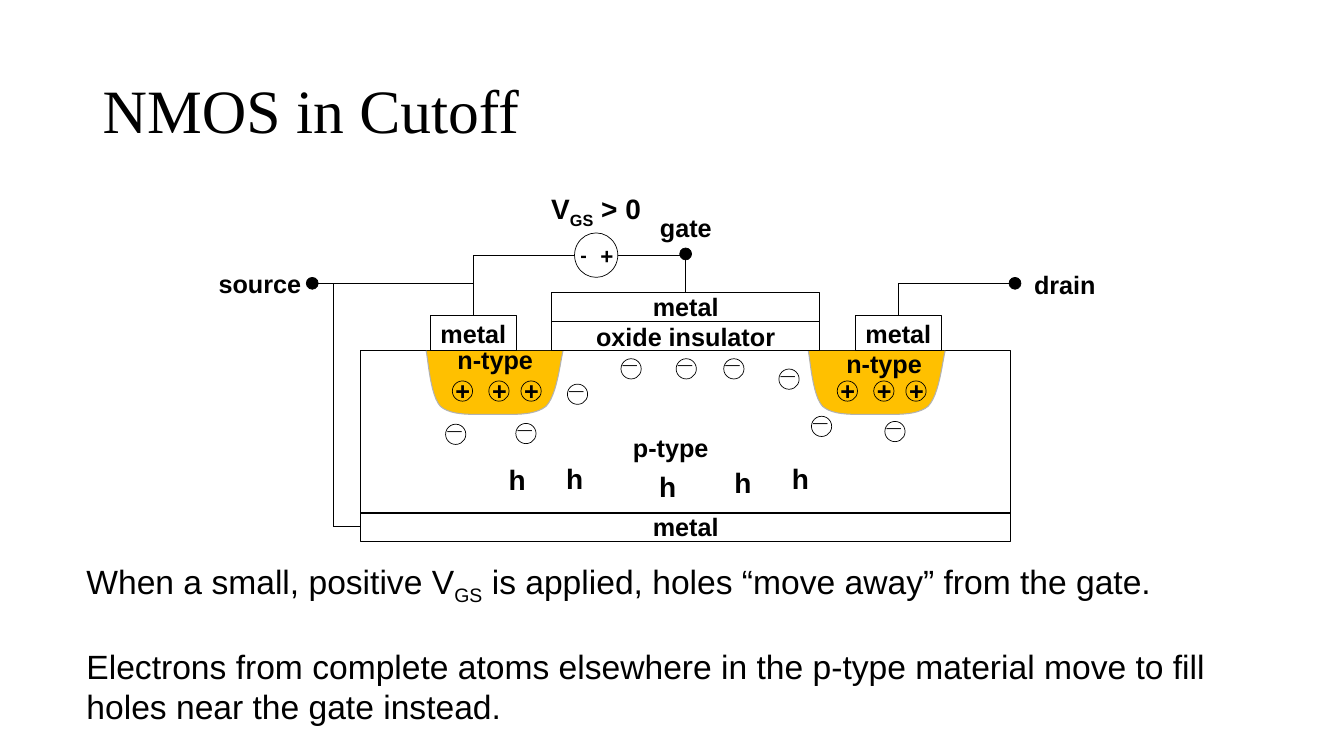
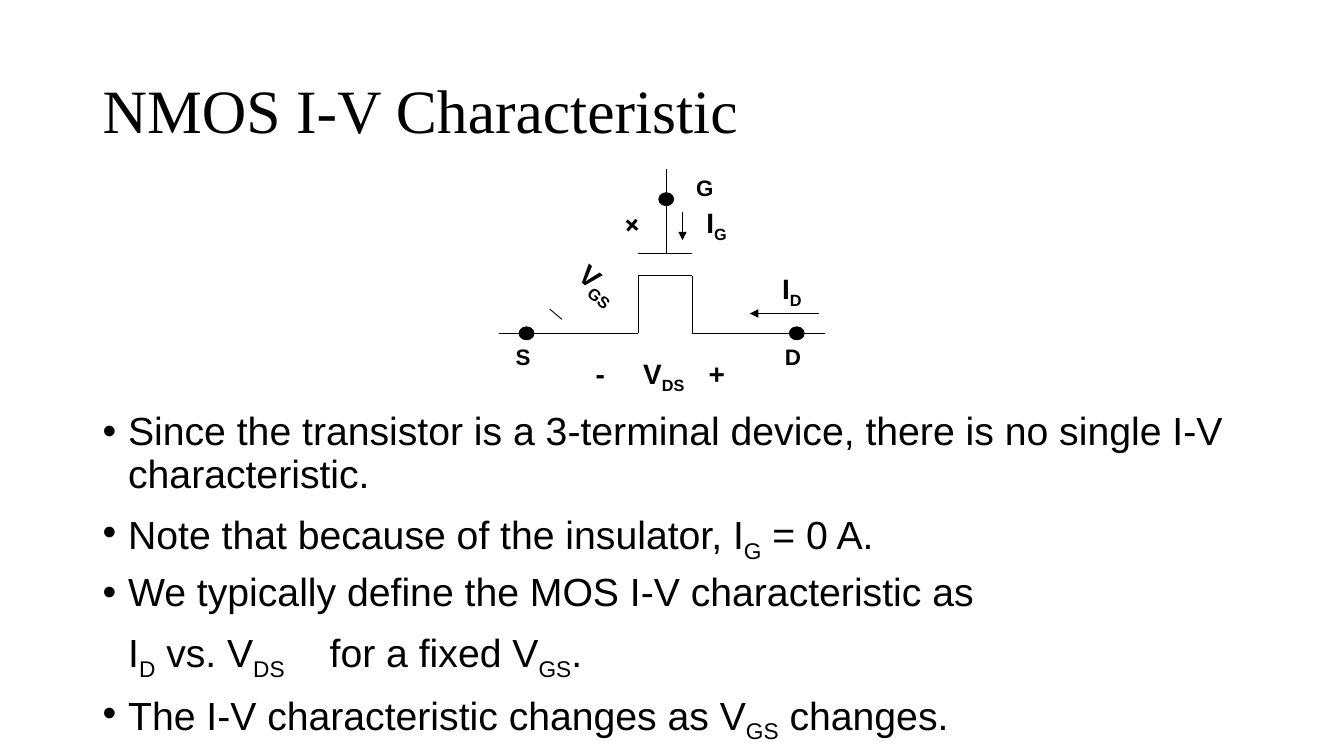
from lxml import etree
from pptx import Presentation, util as u
from pptx.dml.color import RGBColor
from pptx.enum import shapes, text
from pptx.oxml.ns import qn

LEFT, CENTER = text.PP_ALIGN.LEFT, text.PP_ALIGN.CENTER
OVAL, RECT = shapes.MSO_SHAPE.OVAL, shapes.MSO_SHAPE.RECTANGLE


def color(value):
    return RGBColor.from_string(value)


def curve(start, *beziers, steps=12):
    points = [start]
    for a, b, end in beziers:
        origin = points[-1]
        for step in range(1, steps + 1):
            t = step / steps
            weights = (1 - t) ** 3, 3 * t * (1 - t) ** 2, 3 * t * t * (1 - t), t ** 3
            points.append(tuple(sum(w * p[axis] for w, p in zip(weights, (origin, a, b, end)))
                                for axis in (0, 1)))
    return points


class Sketch:
    """Draws styled elements on the current slide, with lengths in centimetres."""

    INK = "000000"
    WELL, WELL_EDGE = "FFC000", "B2B2B2"
    BODY_FONT, TITLE_FONT = "Arial", "Times New Roman"

    def __init__(self):
        self.deck = Presentation()
        self.deck.slide_width, self.deck.slide_height = u.Cm(33.87), u.Cm(19.05)
        self.page = None

    def start_page(self, title):
        self.page = self.deck.slides.add_slide(self.deck.slide_layouts[6])
        box = self.textbox(2.34, 1.02, 29.21, 3.68)
        box.text_frame.vertical_anchor = text.MSO_ANCHOR.MIDDLE
        para = box.text_frame.paragraphs[0]
        para.line_spacing = 0.9
        self.typeset(para, title, 44, font=self.TITLE_FONT)

    def textbox(self, left, top, width, height, wrap=True):
        box = self.page.shapes.add_textbox(*map(u.Cm, (left, top, width, height)))
        box.text_frame.word_wrap = wrap
        return box

    def typeset(self, para, content, size, bold=False, font=BODY_FONT):
        for index, part in enumerate(content.split("~")):
            if part:
                span = para.add_run()
                span.text = part
                if index % 2:
                    span._r.get_or_add_rPr().set("baseline", "-25000")
        para.font.size, para.font.bold, para.font.name = u.Pt(size), bold, font
        para.font.color.rgb = color(self.INK)

    def tab_stops(self, para, stops):
        tabs = etree.SubElement(para._p.get_or_add_pPr(), qn("a:tabLst"))
        for stop in stops:
            etree.SubElement(tabs, qn("a:tab"), pos=str(u.Cm(stop)), algn="l")

    def label(self, content, left, top, width, size=18, align=CENTER, wrap=True, stops=()):
        box = self.textbox(left, top, width, 0.25 + size * 0.0425, wrap)
        para = box.text_frame.paragraphs[0]
        para.alignment = align
        if stops:
            self.tab_stops(para, stops)
        self.typeset(para, content, size, bold=True)

    def stack(self, lines, left, top, width, height, size, bold=False, wrap=True):
        box = self.textbox(left, top, width, height, wrap)
        for index, (content, gap) in enumerate(lines):
            para = box.text_frame.add_paragraph() if index else box.text_frame.paragraphs[0]
            para.space_before = u.Pt(gap)
            self.typeset(para, content, size, bold)
        return box

    def bullets(self, lines, left, top, width, height, size=28):
        frame = self.textbox(left, top, width, height).text_frame
        for index, (content, bullet, stops) in enumerate(lines):
            para = frame.add_paragraph() if index else frame.paragraphs[0]
            para.line_spacing, para.space_before = 0.9, u.Pt(10)
            layout = para._p.get_or_add_pPr()
            layout.set("marL", str(u.Cm(0.64)))
            layout.set("indent", str(u.Cm(-0.64 if bullet else 0)))
            if bullet:
                etree.SubElement(layout, qn("a:buFont"), typeface=self.BODY_FONT)
                etree.SubElement(layout, qn("a:buChar"), char="•")
            if stops:
                self.tab_stops(para, stops)
            self.typeset(para, content, size)

    def paint(self, shape, fill=None, line=INK, weight=0.5):
        shape.shadow.inherit = False
        if fill:
            shape.fill.solid()
            shape.fill.fore_color.rgb = color(fill)
        else:
            shape.fill.background()
        shape.line.color.rgb, shape.line.width = color(line), u.Pt(weight)

    def shape(self, kind, left, top, width, height, fill=None):
        shape = self.page.shapes.add_shape(kind, *map(u.Cm, (left, top, width, height)))
        self.paint(shape, fill)
        return shape

    def layer(self, content, left, top, width, height):
        box = self.shape(RECT, left, top, width, height)
        frame = box.text_frame
        frame.margin_top = frame.margin_bottom = frame.margin_left = frame.margin_right = 0
        frame.vertical_anchor = text.MSO_ANCHOR.MIDDLE
        frame.paragraphs[0].alignment = CENTER
        self.typeset(frame.paragraphs[0], content, 18, bold=True)
        return box

    def dot(self, x, y, width=0.3, height=0.3):
        self.shape(OVAL, x - width / 2, y - height / 2, width, height, self.INK)

    def charge(self, sign, left, top):
        shift, rise = (0.23, 0.28) if sign == "+" else (0.27, 0.63)
        self.shape(OVAL, left, top, 0.51, 0.51)
        self.label(sign, left - shift, top - rise, 0.99)

    def well(self, left, top):
        outline = curve((0, 0),
                        ((0.05, 0.2), (0.1, 1.12), (0.36, 1.4)),
                        ((0.64, 1.65), (1.22, 1.6), (1.7, 1.6)),
                        ((2.13, 1.6), (2.72, 1.65), (3.02, 1.4)),
                        ((3.3, 1.12), (3.38, 0.28), (3.45, 0)))
        points = [(u.Cm(left + x), u.Cm(top + y)) for x, y in outline]
        builder = self.page.shapes.build_freeform(*points[0])
        builder.add_line_segments(points[1:], close=False)
        self.paint(builder.convert_to_shape(), self.WELL, self.WELL_EDGE, 0.75)

    def wire(self, start, end, target=None, side=0, arrow=False):
        line = self.page.shapes.add_connector(shapes.MSO_CONNECTOR.STRAIGHT,
                                              *map(u.Cm, (*start, *end)))
        if target is not None:
            line.end_connect(target, side)
        line.line.color.rgb, line.line.width = color(self.INK), u.Pt(0.5)
        properties = line._element.spPr
        if arrow:
            etree.SubElement(properties.find(qn("a:ln")), qn("a:tailEnd"), type="triangle")
        etree.SubElement(properties, qn("a:effectLst"))


def cutoff(sketch):
    sketch.start_page("NMOS in Cutoff")
    sketch.stack([("When a small, positive V~GS~ is applied, holes “move away” from the gate.", 0),
                  ("Electrons from complete atoms elsewhere in the p-type material move to fill "
                   "holes near the gate instead.", 28)], 1.93, 14, 29.62, 4.37, 24)

    surface = 8.84
    sketch.shape(RECT, 9.09, surface, 16.38, 4.09)
    for left in (10.74, 20.37):
        sketch.well(left, surface)
    source_metal, drain_metal = [sketch.layer("metal", left, 7.95, 2.16, 0.89)
                                 for left in (10.85, 21.56)]
    sketch.layer("oxide insulator", 13.9, 8.1, 6.76, 0.74)
    gate_metal = sketch.layer("metal", 13.9, 7.36, 6.76, 0.74)
    body_metal = sketch.layer("metal", 9.09, 12.9, 16.38, 0.74)

    source_x, gate_x, drain_x, body_x = 11.93, 17.28, 22.64, 8.41
    terminal_y, supply_y, body_y = 7.14, 6.43, 13.27
    sketch.wire((source_x, supply_y), (source_x, 7.95), source_metal)
    sketch.wire((gate_x, supply_y), (gate_x, 7.36), gate_metal)
    sketch.wire((drain_x, terminal_y), (drain_x, 7.95), drain_metal)
    sketch.wire((body_x, body_y), (9.09, body_y), body_metal, side=1)
    for start, end in [((body_x, terminal_y), (body_x, body_y)),
                       ((7.87, terminal_y), (source_x, terminal_y)),
                       ((25.58, terminal_y), (drain_x, terminal_y)),
                       ((14.48, supply_y), (source_x, supply_y)),
                       ((15.57, supply_y), (gate_x, supply_y))]:
        sketch.wire(start, end)
    for x, y in [(7.87, terminal_y), (gate_x, 6.4), (25.58, terminal_y)]:
        sketch.dot(x, y)

    sketch.shape(OVAL, 14.48, 5.87, 1.09, 1.12)
    sketch.label("-", 14.38, 5.99, 0.97, 14, LEFT)
    sketch.label("+", 14.88, 5.97, 0.79, 16, LEFT)
    sketch.label("V~GS~ > 0", 13.64, 4.7, 2.84, 20, LEFT, wrap=False)
    sketch.label("gate", 16.03, 5.23, 2.51)
    sketch.label("p-type", 15.7, 10.77, 2.41, wrap=False)
    for content, left, top, width in [("source", 5.26, 6.63, 2.67), ("drain", 25.81, 6.65, 2.84),
                                      ("n-type", 11.28, 8.56, 3.12), ("n-type", 21.08, 8.66, 3.12)]:
        sketch.label(content, left, top, width, align=LEFT)

    for first in (11.4, 21.1):
        for offset in (0, 0.92, 1.73):
            sketch.charge("+", first + offset, 9.6)
    for left, top in [(13, 10.67), (11.23, 10.69), (14.3, 9.68), (19.63, 9.3), (20.45, 10.49),
                      (22.3, 10.62), (15.65, 9.04), (17.04, 9.04), (18.24, 9.04)]:
        sketch.charge("_", left, top)
    for left, top in [(12.57, 11.53), (14.02, 11.51), (16.36, 11.71), (18.26, 11.61), (19.71, 11.51)]:
        sketch.label("h", left, top, 0.94, 20, LEFT, wrap=False)


def characteristic(sketch):
    sketch.start_page("NMOS I-V Characteristic")
    left, right, gate_x = 16.08, 17.45, 16.79
    gate_y, channel_y, terminal_y = 6.39, 6.95, 8.4
    for start, end in [((right, gate_y), (left, gate_y)),
                       ((right, channel_y), (left, channel_y)),
                       ((left, channel_y), (left, terminal_y)),
                       ((right, channel_y), (right, terminal_y)),
                       ((gate_x, gate_y), (gate_x, 4.27)),
                       ((12.57, terminal_y), (left, terminal_y)),
                       ((right, terminal_y), (20.8, terminal_y))]:
        sketch.wire(start, end)
    for x, y in [(gate_x, 5.02), (13.27, terminal_y), (20.08, terminal_y)]:
        sketch.dot(x, y, 0.38, 0.33)
    sketch.wire((20.65, 7.9), (18.9, 7.9), arrow=True)
    sketch.wire((17.2, 5.33), (17.2, 6.05), arrow=True)

    sketch.label("G", 15.67, 4.27, 4.19, 16)
    sketch.label("D", 18.92, 8.53, 2.13, 16)
    sketch.label("S", 12.12, 8.53, 2.13, 16)
    sketch.label("I~D~", 19.46, 6.71, 1.04, 20, LEFT, wrap=False)
    sketch.label("I~G~", 17.55, 5.05, 1.07, 20, LEFT, wrap=False)
    sketch.label("-\tV~DS~\t+", 14.76, 8.86, 4, 20, LEFT, stops=(1.2, 2.85))
    slanted = sketch.stack([("+", 0), ("V~GS~", 24), ("_", 0)],
                           14.6, 5.03, 1.65, 3.63, 20, bold=True, wrap=False)
    slanted.rotation = 40.2

    sketch.bullets([
        ("Since the transistor is a 3-terminal device, there is no single I-V characteristic.", True, ()),
        ("Note that because of the insulator, I~G~ = 0 A.", True, ()),
        ("We typically define the MOS I-V characteristic as", True, ()),
        ("I~D~ vs. V~DS~\tfor a fixed V~GS~.", False, (7.04,)),
        ("The I-V characteristic changes as V~GS~ changes.", True, ()),
    ], 2.34, 10.26, 29.21, 8.56)


def main():
    sketch = Sketch()
    cutoff(sketch)
    characteristic(sketch)
    sketch.deck.save("out.pptx")


if __name__ == "__main__":
    main()
